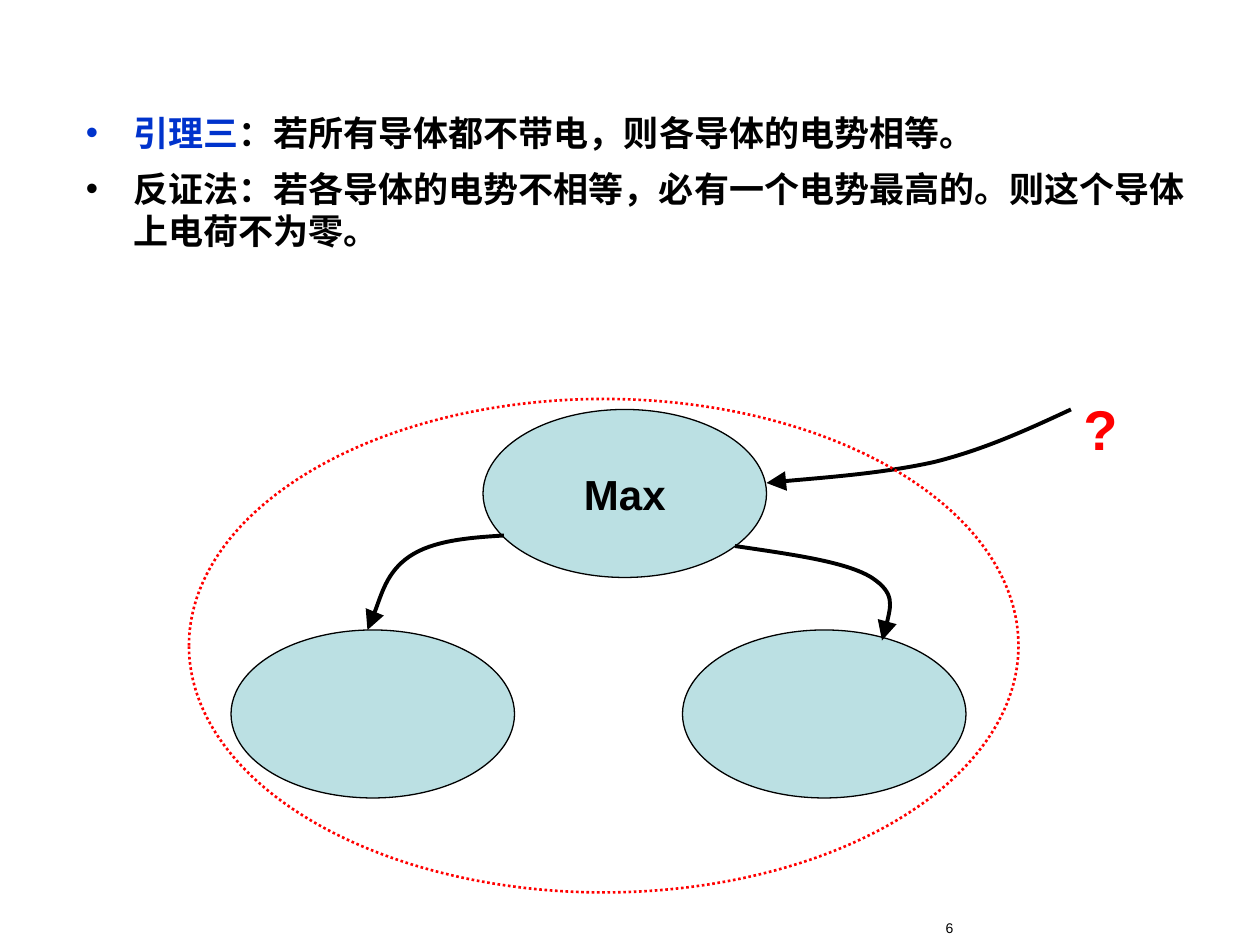
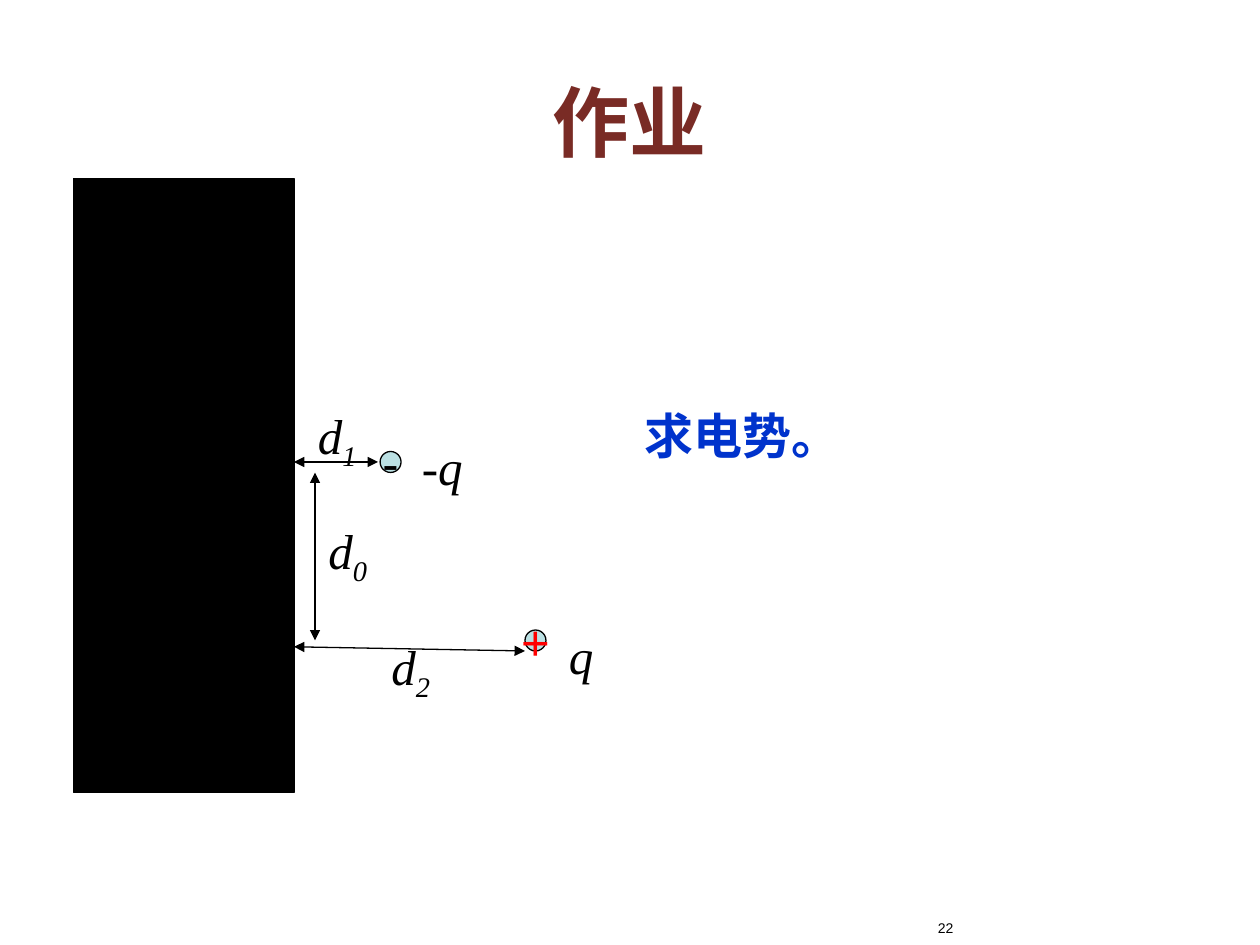
from dataclasses import dataclass

from lxml import etree
from pptx import Presentation
from pptx.dml.color import RGBColor
from pptx.enum.dml import MSO_LINE
from pptx.enum.shapes import MSO_CONNECTOR, MSO_SHAPE
from pptx.enum.text import MSO_ANCHOR, MSO_AUTO_SIZE, PP_ALIGN
from pptx.oxml.ns import qn
from pptx.util import Pt

LEFT, MID, RIGHT = PP_ALIGN.LEFT, PP_ALIGN.CENTER, PP_ALIGN.RIGHT
TOP, CORE = MSO_ANCHOR.TOP, MSO_ANCHOR.MIDDLE
FIT = MSO_AUTO_SIZE.SHAPE_TO_FIT_TEXT
OVAL, RECT = MSO_SHAPE.OVAL, MSO_SHAPE.RECTANGLE
LINE, DOTS = MSO_CONNECTOR.STRAIGHT, MSO_LINE.ROUND_DOT
PX = 7620


@dataclass(frozen=True)
class Theme:
    ink: str = "000000"
    blue: str = "0033CC"
    red: str = "FF0000"
    brown: str = "792B25"
    pale: str = "BBE0E3"
    sans: str = "Arial"
    serif: str = "Times New Roman"
    page: int = 8
    body: int = 20
    name: int = 24
    sign: int = 28
    mark: int = 32
    title: int = 44
    thin: float = 0.75
    dot: float = 1.5
    bold: float = 2.25


T = Theme()

WIDE, HIGH = 1200, 900
PAGE = (810, 870, 110, 30)

LEMMA = [
    [("引理三", T.blue), ("：若所有导体都不带电，则各导体的电势相等。", T.ink)],
    [("反证法：若各导体的电势不相等，必有一个电势最高的。则这个导体上电荷不为零。", T.ink)],
]
LEMMA_BOX = (70, 100, 1080, 150)
BODY_SIZE = (270, 160)
BODIES = [(460, 390, "Max"), (220, 600, ""), (650, 600, "")]
RING = (180, 380, 790, 470)
CURVES = [
    [(480, 510), (446, 512), (412, 515), (390, 530), (368, 545), (356, 588), (350, 600)],
    [(700, 520), (754, 528), (806, 535), (830, 550), (853, 565), (847, 588), (840, 610)],
    [(1020, 390), (979, 409), (938, 428), (890, 440), (841, 451), (757, 457), (730, 460)],
]
DOUBT = ("?", (1020, 370, 57, 77))

TITLE = ("作业", (60, 50, 1080, 130))
WALL = (70, 170, 210, 585)
DOT = 20
CHARGES = [("-", 362, 430, T.ink), ("+", 500, 600, T.red)]
SPANS = [(280, 440, 360, 440), (280, 616, 500, 620), (300, 450, 300, 610)]
GAPS = [("1", 291, 380), ("0", 301, 490), ("2", 361, 600)]
GAP_SIZE = (66, 76)
NAMES = [("q", (530, 590, 50, 68)), ("-q", (390, 410, 68, 68))]
TASK = ("求电势。", (602, 380, 214, 68))


def emu(nums):
    return [n * PX for n in nums]


def tint(hue):
    return RGBColor.from_string(hue)


def bullet(para, hue):
    props = para._p.get_or_add_pPr()
    props.set("marL", str(45 * PX))
    props.set("indent", str(-45 * PX))
    color = etree.SubElement(props, qn("a:buClr"))
    etree.SubElement(color, qn("a:srgbClr")).set("val", hue)
    etree.SubElement(props, qn("a:buFont")).set("typeface", T.sans)
    etree.SubElement(props, qn("a:buChar")).set("char", "•")


def write(shape, text, size, hue=T.ink, face=T.sans, bold=False, slant=False,
          align=LEFT, anchor=TOP, wrap=False, fit=False, sub="", dots=False):
    frame = shape.text_frame
    frame.word_wrap = wrap
    frame.vertical_anchor = anchor
    if fit:
        frame.auto_size = FIT
    rows = [[(text, hue)]] if isinstance(text, str) else text
    for i, row in enumerate(rows):
        para = frame.add_paragraph() if i else frame.paragraphs[0]
        para.alignment = align
        if dots:
            bullet(para, row[0][1])
        if i:
            para.space_before = Pt(8)
        for part, color in row + ([(sub, hue)] if sub else []):
            run = para.add_run()
            run.text = part
            font = run.font
            font.size, font.name = Pt(size), face
            font.bold, font.italic = bold, slant
            font.color.rgb = tint(color)
        if sub:
            run._r.get_or_add_rPr().set("baseline", "-25000")


def label(slide, text, box, size, **style):
    write(slide.shapes.add_textbox(*emu(box)), text, size, **style)


def solid(slide, kind, box, fill=None, hue=T.ink, width=T.thin):
    shape = slide.shapes.add_shape(kind, *emu(box))
    shape.shadow.inherit = False
    if fill:
        shape.fill.solid()
        shape.fill.fore_color.rgb = tint(fill)
    else:
        shape.fill.background()
    stroke(shape, hue, width)
    return shape


def stroke(shape, hue, width, ends=(), tip="med"):
    shape.line.color.rgb = tint(hue)
    shape.line.width = Pt(width)
    for end in ends:
        head = etree.SubElement(shape.line._get_or_add_ln(), qn("a:" + end))
        head.set("type", "triangle")
        head.set("w", tip)
        head.set("len", tip)


def curve(slide, nodes):
    pen = slide.shapes.build_freeform(*emu(nodes[0]))
    pen.add_line_segments([emu(node) for node in nodes[1:]], close=False)
    shape = pen.convert_to_shape()
    legs = list(shape._element.iter(qn("a:lnTo")))
    for i in range(0, len(legs), 3):
        bend = etree.SubElement(legs[i].getparent(), qn("a:cubicBezTo"))
        for leg in legs[i:i + 3]:
            bend.append(leg[0])
            leg.getparent().remove(leg)
    shape.shadow.inherit = False
    shape.fill.background()
    stroke(shape, T.ink, T.bold, ["tailEnd"], "lg")


def span(slide, ends):
    line = slide.shapes.add_connector(LINE, *emu(ends))
    stroke(line, T.ink, T.thin, ["headEnd", "tailEnd"])
    etree.SubElement(line._element.spPr, qn("a:effectLst"))


def start(deck, page):
    slide = deck.slides.add_slide(deck.slide_layouts[6])
    label(slide, page, PAGE, T.page, align=RIGHT, wrap=True)
    return slide


def proof(deck):
    slide = start(deck, "6")
    label(slide, LEMMA, LEMMA_BOX, T.body, bold=True, wrap=True, dots=True)
    for x, y, name in BODIES:
        shape = solid(slide, OVAL, (x, y, *BODY_SIZE), T.pale)
        if name:
            write(shape, name, T.name, bold=True, align=MID, anchor=CORE)
    for nodes in CURVES:
        curve(slide, nodes)
    label(slide, *DOUBT, T.mark, hue=T.red, bold=True, fit=True)
    ring = solid(slide, OVAL, RING, hue=T.red, width=T.dot)
    ring.line.dash_style = DOTS


def task(deck):
    slide = start(deck, "22")
    label(slide, *TITLE, T.title, hue=T.brown, face=T.serif, bold=True,
          align=MID, anchor=CORE, wrap=True)
    solid(slide, RECT, WALL, T.ink)
    for sign, x, y, hue in CHARGES:
        shape = solid(slide, OVAL, (x, y, DOT, DOT), T.pale)
        write(shape, sign, T.sign, hue=hue, align=MID, anchor=CORE)
    for ends in SPANS:
        span(slide, ends)
    math = dict(face=T.serif, slant=True, fit=True)
    for sub, x, y in GAPS:
        label(slide, "d", (x, y, *GAP_SIZE), T.sign, sub=sub, **math)
    for name, box in NAMES:
        label(slide, name, box, T.sign, **math)
    label(slide, *TASK, T.sign, hue=T.blue, bold=True, fit=True)


def main():
    deck = Presentation()
    deck.slide_width, deck.slide_height = emu((WIDE, HIGH))
    proof(deck)
    task(deck)
    deck.save("out.pptx")


if __name__ == "__main__":
    main()
